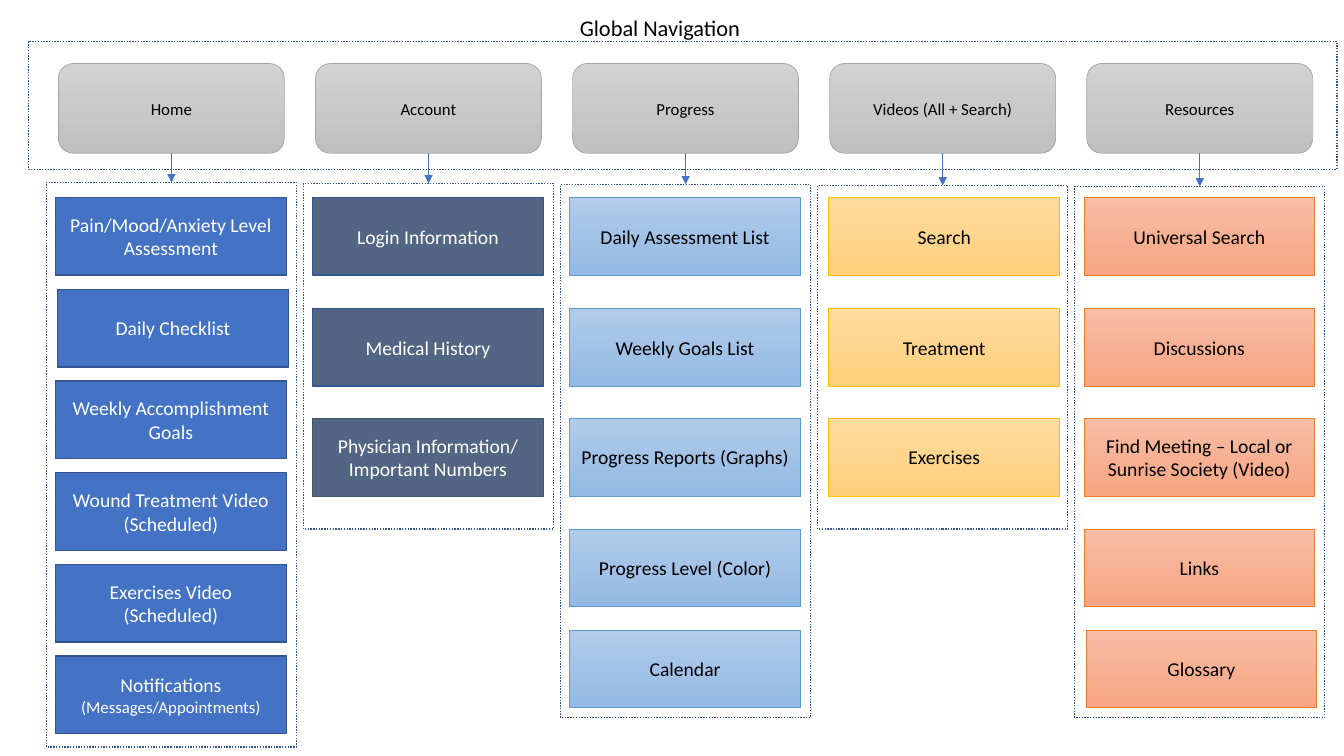
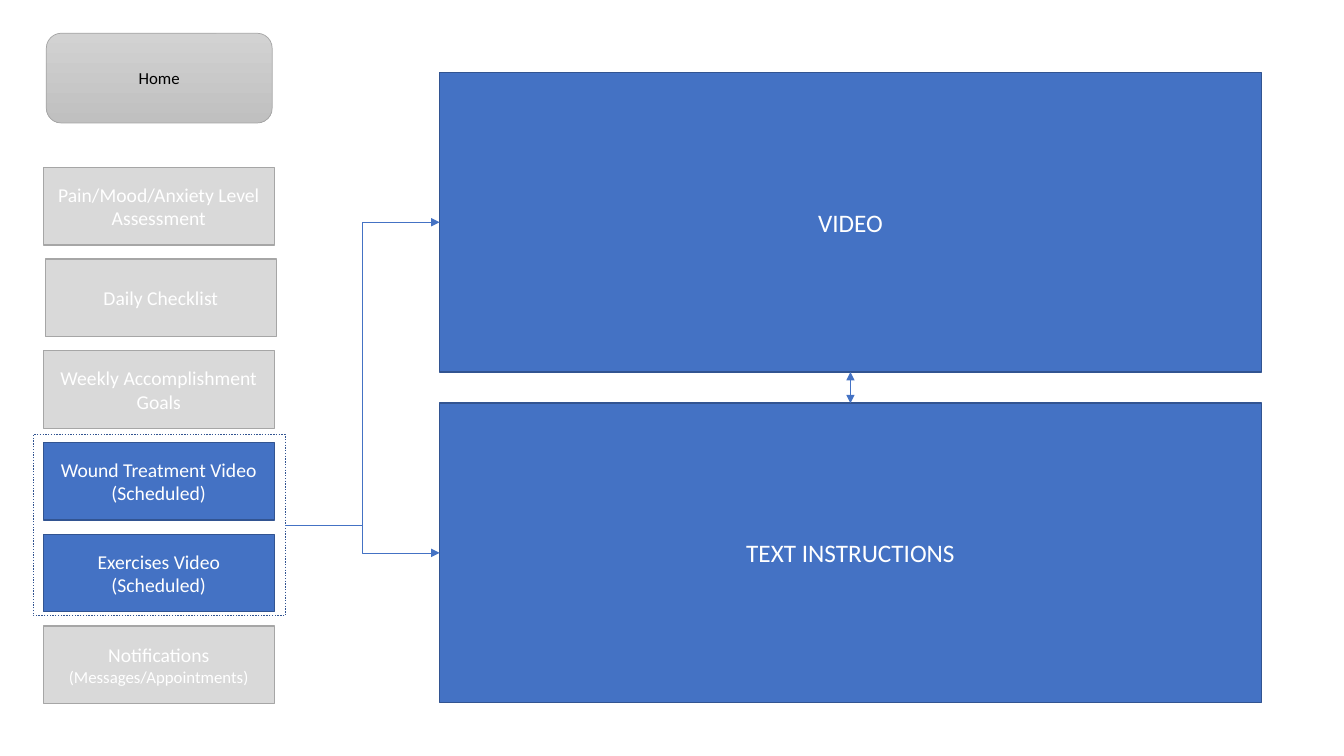
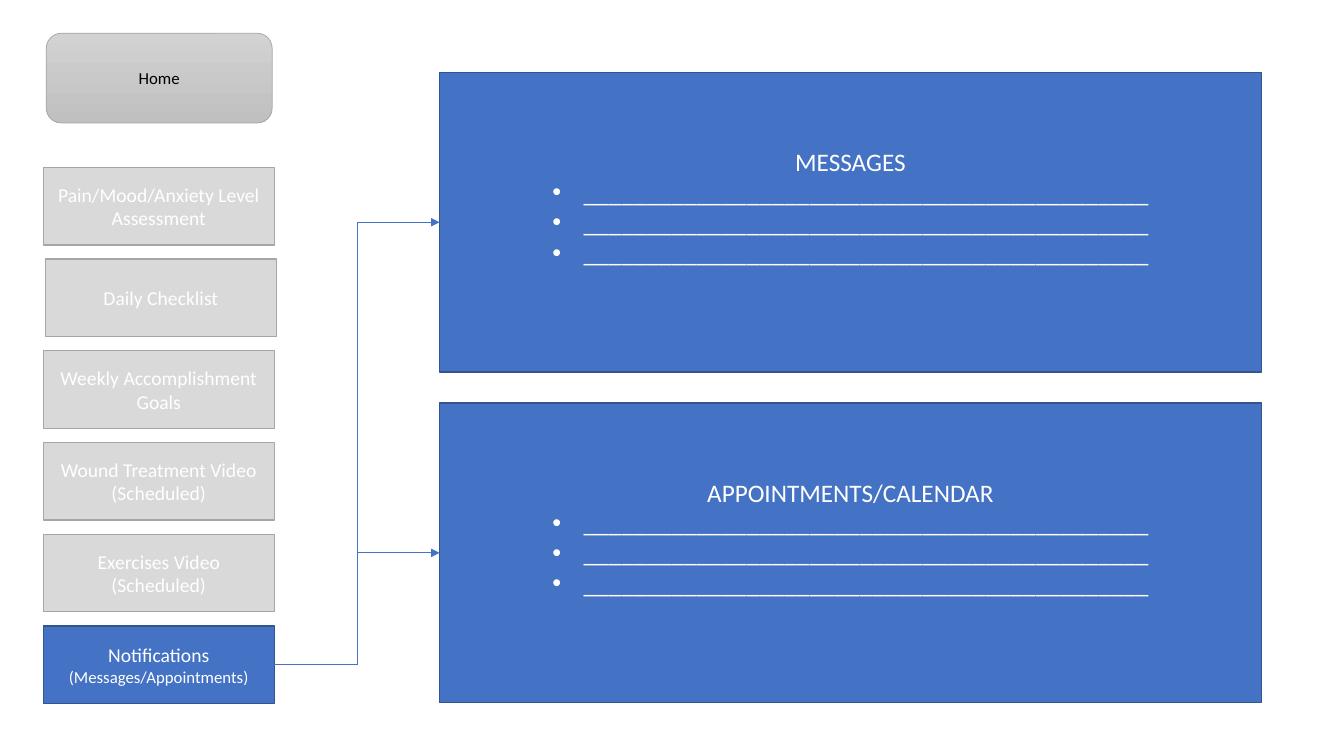
from dataclasses import dataclass
from typing import Optional

from lxml.etree import SubElement
from pptx import Presentation
from pptx.dml.color import RGBColor
from pptx.enum.dml import MSO_LINE
from pptx.enum.shapes import MSO_CONNECTOR, MSO_SHAPE
from pptx.enum.text import MSO_ANCHOR, MSO_AUTO_SIZE, PP_ALIGN
from pptx.oxml.ns import qn
from pptx.shapes.autoshape import Shape
from pptx.slide import Slide
from pptx.util import Inches, Pt

RECTANGLE = MSO_SHAPE.RECTANGLE
ROUNDED = MSO_SHAPE.ROUNDED_RECTANGLE
STRAIGHT = MSO_CONNECTOR.STRAIGHT
ELBOW = MSO_CONNECTOR.ELBOW
DOTTED = MSO_LINE.ROUND_DOT
CENTER = PP_ALIGN.CENTER
MIDDLE = MSO_ANCHOR.MIDDLE
NO_AUTOSIZE = MSO_AUTO_SIZE.NONE

FONT = "Calibri"
BLACK, WHITE = "000000", "FFFFFF"
BLUE, NAVY = "4472C4", "325491"
SITE_TOP, SITE_LEFT, SITE_BOTTOM, SITE_RIGHT = range(4)

SLIDE_W, SLIDE_H = 13.33, 7.5
COLUMN_LEFT, COLUMN_PITCH = 0.55, 2.55
ENTRY_W, ENTRY_H = 2.29, 0.77
TAB_W, TAB_H, TAB_TOP, TAB_INSET = 2.24, 0.89, 0.63, 0.03
FRAME_W, FRAME_TOP, FRAME_STEP, FRAME_OUTSET = 2.48, 1.81, 0.01, 0.09
HOME_TOP, HOME_PITCH = 1.96, 0.91
TOPIC_ROWS = (1.96, 3.06, 4.15, 5.25, 6.25)
DETAIL_LEFT, DETAIL_TOP, DETAIL_PITCH = 4.36, 0.72, 3.28
DETAIL_W, DETAIL_H = 8.15, 2.97
MENU_LEFT, MENU_RISE = 0.43, 0.3
BULLET_INDENT = 0.31
BLANK_LINE = "_" * 45


@dataclass(frozen=True)
class Style:
    fill: tuple[str, ...]
    edge: str
    ink: str
    weight: float = 0.5


@dataclass(frozen=True)
class Entry:
    lines: tuple[str, ...]
    sizes: tuple[int, ...] = (14, 14)
    nudge: float = 0.0
    style: Optional[Style] = None


@dataclass(frozen=True)
class Section:
    tab: str
    style: Style
    frame_bottom: float
    entries: tuple[Entry, ...]


TAB = Style(("D2D2D2", "C0C0C0"), "A5A5A5", BLACK)
ACTIVE = Style((BLUE,), NAVY, WHITE, 1)
DIMMED = Style(("D9D9D9",), "A6A6A6", WHITE, 1)
SLATE = Style(("526582",), NAVY, WHITE, 1)
SLATE_THIN = Style(("526582",), "44546A", WHITE)
SKY = Style(("B1CBE9", "93B9E4"), "5B9BD5", BLACK)
GOLD = Style(("FFDB9E", "FFD07C"), "FFC000", BLACK)
CORAL = Style(("F7BDA5", "F8A582"), "ED7D31", BLACK)

HOME_ENTRIES = (
    Entry(("Pain/Mood/Anxiety Level Assessment",)),
    Entry(("Daily Checklist",), nudge=0.02),
    Entry(("Weekly Accomplishment", "Goals")),
    Entry(("Wound Treatment Video (Scheduled)",)),
    Entry(("Exercises Video (Scheduled)",)),
    Entry(("Notifications", "(Messages/Appointments)"), (14, 12)),
)
SECTIONS = (
    Section("Home", ACTIVE, 7.41, HOME_ENTRIES),
    Section("Account", SLATE, 5.25, (
        Entry(("Login Information",)),
        Entry(("Medical History",)),
        Entry(("Physician Information/ Important Numbers",), style=SLATE_THIN),
    )),
    Section("Progress", SKY, 7.12, (
        Entry(("Daily Assessment List",)),
        Entry(("Weekly Goals List",)),
        Entry(("Progress Reports (Graphs)",)),
        Entry(("Progress Level (Color)",)),
        Entry(("Calendar",)),
    )),
    Section("Videos (All + Search)", GOLD, 5.25, (
        Entry(("Search",), nudge=0.02),
        Entry(("Treatment",), nudge=0.02),
        Entry(("Exercises",), nudge=0.02),
    )),
    Section("Resources", CORAL, 7.12, (
        Entry(("Universal Search",)),
        Entry(("Discussions",)),
        Entry(("Find Meeting – Local or Sunrise Society (Video)",)),
        Entry(("Links",)),
        Entry(("Glossary",), nudge=0.02),
    )),
)


def color(code: str) -> RGBColor:
    return RGBColor.from_string(code)


def column(index: int) -> float:
    return COLUMN_LEFT + COLUMN_PITCH * index


def home_row(index: int) -> float:
    return HOME_TOP + HOME_PITCH * index


def add_block(slide: Slide, left: float, top: float, width: float, height: float,
              style: Style, lines: tuple[str, ...], sizes: tuple[int, ...],
              outline: MSO_SHAPE = RECTANGLE) -> Shape:
    block = slide.shapes.add_shape(
        outline, Inches(left), Inches(top), Inches(width), Inches(height))
    block.shadow.inherit = False
    if len(style.fill) > 1:
        block.fill.gradient()
        block.fill.gradient_angle = 270
        for stop, code in zip(block.fill.gradient_stops, style.fill):
            stop.color.rgb = color(code)
    else:
        block.fill.solid()
        block.fill.fore_color.rgb = color(style.fill[0])
    block.line.color.rgb = color(style.edge)
    block.line.width = Pt(style.weight)
    frame = block.text_frame
    frame.word_wrap = True
    frame.vertical_anchor = MIDDLE
    frame.text = "\n".join(lines)
    for paragraph, size in zip(frame.paragraphs, sizes):
        paragraph.alignment = CENTER
        paragraph.font.name = FONT
        paragraph.font.size = Pt(size)
        paragraph.font.color.rgb = color(style.ink)
    return block


def add_dotted_frame(slide: Slide, left: float, top: float,
                     width: float, height: float) -> Shape:
    frame = slide.shapes.add_shape(
        RECTANGLE, Inches(left), Inches(top), Inches(width), Inches(height))
    frame.shadow.inherit = False
    frame.fill.background()
    frame.line.color.rgb = color(NAVY)
    frame.line.width = Pt(1)
    frame.line.dash_style = DOTTED
    return frame


def add_arrow(slide: Slide, route: MSO_CONNECTOR, source: Shape, source_site: int,
              target: Shape, target_site: int, both_ends: bool = False) -> None:
    arrow = slide.shapes.add_connector(route, 0, 0, 0, 0)
    arrow.begin_connect(source, source_site)
    arrow.end_connect(target, target_site)
    arrow.line.color.rgb = color(BLUE)
    arrow.line.width = Pt(0.5)
    properties = arrow.element.spPr
    stroke = properties.find(qn("a:ln"))
    for end in ("a:headEnd", "a:tailEnd") if both_ends else ("a:tailEnd",):
        SubElement(stroke, qn(end), type="triangle")
    SubElement(properties, qn("a:effectLst"))


def add_tab(slide: Slide, left: float, top: float, label: str) -> Shape:
    return add_block(slide, left, top, TAB_W, TAB_H, TAB, (label,), (12,), ROUNDED)


def add_entry(slide: Slide, left: float, top: float, entry: Entry, style: Style) -> Shape:
    return add_block(slide, left + entry.nudge, top, ENTRY_W, ENTRY_H,
                     entry.style or style, entry.lines, entry.sizes)


def add_section(slide: Slide, index: int, section: Section) -> None:
    left = column(index)
    tab = add_tab(slide, left + TAB_INSET, TAB_TOP, section.tab)
    for number, entry in enumerate(section.entries):
        top = home_row(number) if section.entries is HOME_ENTRIES else TOPIC_ROWS[number]
        add_entry(slide, left, top, entry, section.style)
    frame_top = FRAME_TOP + FRAME_STEP * index
    frame = add_dotted_frame(slide, left - FRAME_OUTSET, frame_top,
                             FRAME_W, section.frame_bottom - frame_top)
    add_arrow(slide, STRAIGHT, tab, SITE_BOTTOM, frame, SITE_TOP)


def add_home_menu(slide: Slide, active: set[int]) -> list[Shape]:
    add_tab(slide, MENU_LEFT + TAB_INSET, TAB_TOP - MENU_RISE, "Home")
    menu = []
    for number, entry in enumerate(HOME_ENTRIES):
        style = ACTIVE if number in active else DIMMED
        menu.append(add_entry(slide, MENU_LEFT, home_row(number) - MENU_RISE, entry, style))
    return menu


def add_details(slide: Slide, headings: tuple[str, str], blank_lines: int = 0) -> list[Shape]:
    details = []
    for number, heading in enumerate(headings):
        lines = (heading,) + (BLANK_LINE,) * blank_lines
        detail = add_block(slide, DETAIL_LEFT, DETAIL_TOP + DETAIL_PITCH * number,
                           DETAIL_W, DETAIL_H, ACTIVE, lines, (18,) * len(lines))
        for paragraph in detail.text_frame.paragraphs[1:]:
            properties = paragraph._p.get_or_add_pPr()
            properties.set("marL", str(Inches(BULLET_INDENT)))
            properties.set("indent", str(-Inches(BULLET_INDENT)))
            bullet_font = properties.makeelement(qn("a:buFont"), {"typeface": "Arial"})
            bullet = properties.makeelement(qn("a:buChar"), {"char": "•"})
            properties.insert(0, bullet_font)
            properties.insert(1, bullet)
        if blank_lines:
            detail.text_frame.margin_bottom = Inches(0.35)
        details.append(detail)
    return details


def add_title(slide: Slide, text: str) -> None:
    title = slide.shapes.title
    title.left, title.top = Inches(5.64), Inches(0.09)
    title.width, title.height = Inches(1.81), Inches(0.37)
    frame = title.text_frame
    frame.text = text
    frame.word_wrap = False
    frame.auto_size = NO_AUTOSIZE
    frame.vertical_anchor = MIDDLE
    heading = frame.paragraphs[0]
    heading.alignment = CENTER
    heading.font.name = FONT
    heading.font.size = Pt(16)
    heading.font.color.rgb = color(BLACK)


def build_navigation(slide: Slide) -> None:
    add_title(slide, "Global Navigation")
    for index, section in enumerate(SECTIONS):
        add_section(slide, index, section)
    add_dotted_frame(slide, 0.28, 0.41, 12.98, 1.27)


def build_videos(slide: Slide) -> None:
    scheduled = add_dotted_frame(slide, MENU_LEFT - 0.1, 4.31, 2.5, 1.8)
    video, instructions = add_details(slide, ("VIDEO", "TEXT INSTRUCTIONS"))
    for detail in (video, instructions):
        add_arrow(slide, ELBOW, scheduled, SITE_RIGHT, detail, SITE_LEFT)
    add_arrow(slide, STRAIGHT, video, SITE_BOTTOM, instructions, SITE_TOP, both_ends=True)
    add_home_menu(slide, {3, 4})


def build_notifications(slide: Slide) -> None:
    notifications = add_home_menu(slide, {5})[-1]
    for detail in add_details(slide, ("MESSAGES", "APPOINTMENTS/CALENDAR"), 3):
        add_arrow(slide, ELBOW, notifications, SITE_RIGHT, detail, SITE_LEFT)


def main() -> None:
    deck = Presentation()
    deck.slide_width, deck.slide_height = Inches(SLIDE_W), Inches(SLIDE_H)
    title_only, blank = deck.slide_layouts[5], deck.slide_layouts[6]
    build_navigation(deck.slides.add_slide(title_only))
    build_videos(deck.slides.add_slide(blank))
    build_notifications(deck.slides.add_slide(blank))
    deck.save("out.pptx")


main()
